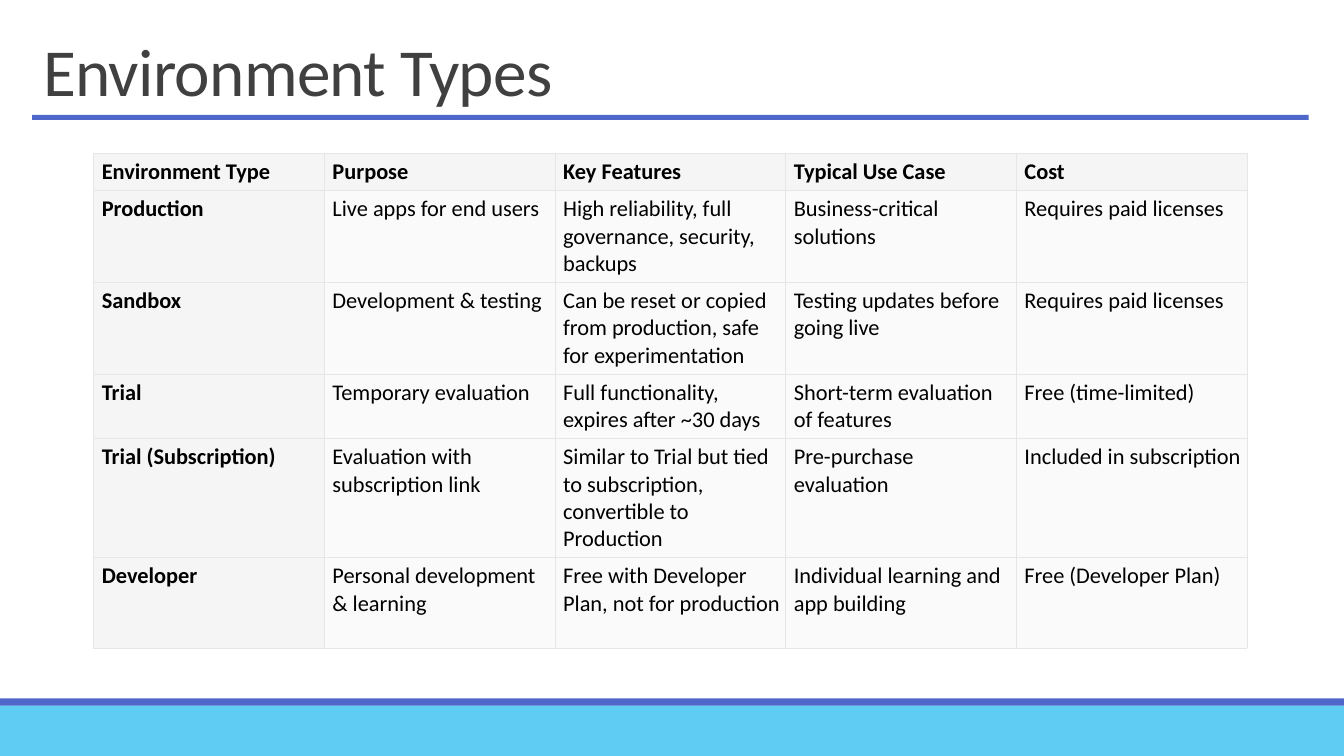
from lxml import etree
from pptx import Presentation, util as u
from pptx.dml.color import RGBColor
from pptx.enum import shapes, text
from pptx.oxml.ns import qn

COLORS = {"title": "404040", "text": "000000", "sky": "5ECCF3", "blue": "4E67C8",
          "header": "F5F5F5", "body": "FAFAFA", "border": "E6E6E6"}


def write(frame, content, size=16, bold=False, color="text", line_spacing=None, tracking=None):
    paragraph = frame.paragraphs[0]
    paragraph.alignment = text.PP_ALIGN.LEFT
    if line_spacing:
        paragraph.line_spacing = line_spacing
    run = paragraph.add_run()
    run.text = content
    run.font.name = "Calibri"
    run.font.size = u.Pt(size)
    run.font.bold = bold
    run.font.color.rgb = RGBColor.from_string(COLORS[color])
    if tracking:
        run.font._element.set("spc", str(tracking))


def add_borders(cell):
    properties = cell._tc.get_or_add_tcPr()
    for index, side in enumerate(("lnL", "lnR", "lnT", "lnB")):
        line = etree.Element(qn(f"a:{side}"), w=str(u.Pt(0.5)))
        fill = etree.SubElement(line, qn("a:solidFill"))
        etree.SubElement(fill, qn("a:srgbClr"), val=COLORS["border"])
        properties.insert(index, line)


presentation = Presentation()
presentation.slide_width = u.Inches(13.33)
presentation.slide_height = u.Inches(7.5)
slide = presentation.slides.add_slide(presentation.slide_layouts[5])

# Footer band, its edge and the rule under the title
bars = [(0, 7, 13.33, 0.5, "sky"), (0, 6.93, 13.33, 0.07, "blue"),
        (0.32, 1.14, 12.66, 0.05, "blue")]
for left, top, width, height, color in bars:
    bar = slide.shapes.add_shape(shapes.MSO_SHAPE.RECTANGLE, u.Inches(left), u.Inches(top),
                                 u.Inches(width), u.Inches(height))
    bar.shadow.inherit = False
    bar.fill.solid()
    bar.fill.fore_color.rgb = RGBColor.from_string(COLORS[color])
    bar.line.fill.background()

# Title
title = slide.shapes.title
title.left, title.top = u.Inches(0.33), u.Inches(0.15)
title.width, title.height = u.Inches(12.64), u.Inches(0.99)
title.text_frame.word_wrap = True
title.text_frame.auto_size = text.MSO_AUTO_SIZE.NONE
title.text_frame.vertical_anchor = text.MSO_ANCHOR.BOTTOM
write(title.text_frame, "Environment Types", size=48, color="title",
      line_spacing=0.85, tracking=-50)

# Table of environments
environments = [
    ("Environment Type", "Purpose", "Key Features", "Typical Use Case", "Cost"),
    ("Production", "Live apps for end users",
     "High reliability, full governance, security, backups",
     "Business-critical solutions", "Requires paid licenses"),
    ("Sandbox", "Development & testing",
     "Can be reset or copied from production, safe for experimentation",
     "Testing updates before going live", "Requires paid licenses"),
    ("Trial", "Temporary evaluation", "Full functionality, expires after ~30 days",
     "Short-term evaluation of features", "Free (time-limited)"),
    ("Trial (Subscription)", "Evaluation with subscription link",
     "Similar to Trial but tied to subscription, convertible to Production",
     "Pre-purchase evaluation", "Included in subscription"),
    ("Developer", "Personal development & learning",
     "Free with Developer Plan, not for production",
     "Individual learning and app building", "Free (Developer Plan)"),
]
row_heights = [0.37, 0.91, 0.91, 0.64, 1.18, 0.9]
table = slide.shapes.add_table(len(environments), len(environments[0]), u.Inches(0.93),
                               u.Inches(1.52), u.Inches(11.44), u.Inches(4.9)).table
for row, height in zip(table.rows, row_heights):
    row.height = u.Inches(height)

for row_index, values in enumerate(environments):
    for column_index, value in enumerate(values):
        heading = row_index == 0 or column_index == 0
        cell = table.cell(row_index, column_index)
        cell.margin_left, cell.margin_right = u.Inches(0.08), u.Inches(0.05)
        cell.margin_top, cell.margin_bottom = u.Inches(0.05), u.Inches(0.04)
        cell.vertical_anchor = text.MSO_ANCHOR.TOP
        cell.fill.solid()
        cell.fill.fore_color.rgb = RGBColor.from_string(COLORS["header" if heading else "body"])
        add_borders(cell)
        write(cell.text_frame, value, bold=heading)

presentation.save("out.pptx")
